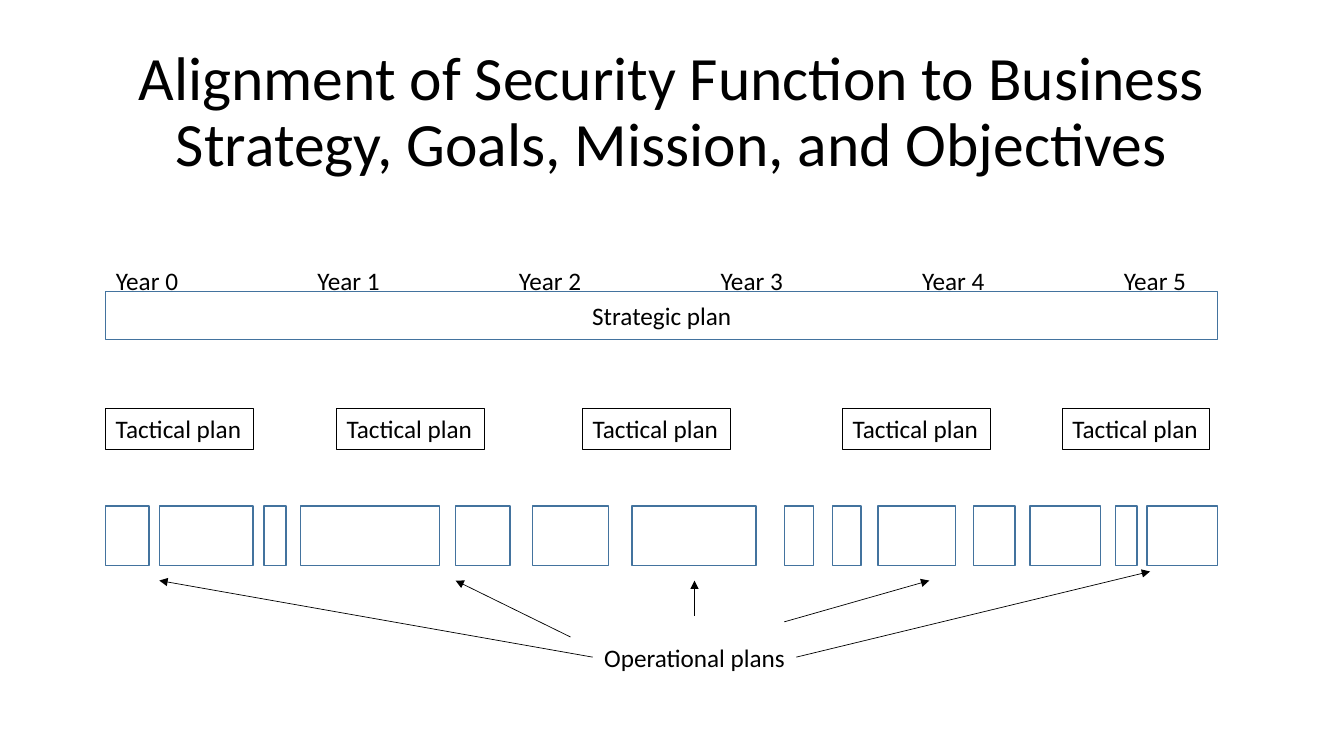
from dataclasses import dataclass

from lxml import etree
from pptx import Presentation
from pptx.dml.color import RGBColor
from pptx.enum import shapes, text
from pptx.oxml.ns import qn
from pptx.util import Pt


@dataclass(frozen=True)
class Theme:
    font: str = "Calibri"
    title_size: float = 44
    body_size: float = 18
    ink: RGBColor = RGBColor(0x00, 0x00, 0x00)
    paper: RGBColor = RGBColor(0xFF, 0xFF, 0xFF)
    outline: RGBColor = RGBColor(0x43, 0x73, 0x9E)


THEME = Theme()
LEFT = 75.6
YEAR_STEP = 144
TACTICAL_LEFTS = (75.6, 240.5, 416.2, 601.9, 758.9)
# left and width of each operational plan
OPERATIONAL_SPANS = (
    (75.6, 31), (113.8, 67), (188.6, 15.8), (214.6, 99.4), (325.4, 38.9),
    (380.2, 54.7), (451.4, 88.6), (560.2, 20.9), (594.7, 20.2),
    (627.1, 55.4), (695.5, 29.5), (735.8, 50.4), (797, 15.1), (819.4, 50.4),
)
# start and tip of each arrow
ARROWS = (
    ((423.4, 469.4), (113.8, 414.7)),
    ((496.1, 439.9), (496.1, 414.7)),
    ((560.2, 444.2), (663.8, 414.7)),
    ((568.8, 469.4), (821.5, 408.2)),
    ((407.5, 455), (325.4, 414.7)),
)


def write_text(shape, words, *, size=THEME.body_size, align=text.PP_ALIGN.LEFT,
               anchor=text.MSO_ANCHOR.TOP, wrap=False, spacing=1.0):
    frame = shape.text_frame
    frame.word_wrap = wrap
    frame.auto_size = text.MSO_AUTO_SIZE.NONE
    frame.vertical_anchor = anchor
    para = frame.paragraphs[0]
    para.alignment = align
    para.line_spacing = spacing
    span = para.add_run()
    span.text = words
    span.font.name = THEME.font
    span.font.size = Pt(size)
    span.font.color.rgb = THEME.ink
    return para


def add_label(page, left, top, width, height, words, **style):
    box = page.shapes.add_textbox(Pt(left), Pt(top), Pt(width), Pt(height))
    return write_text(box, words, **style)


def add_plan(page, left, top, width, height, color=THEME.outline, weight=1):
    box = page.shapes.add_shape(shapes.MSO_SHAPE.RECTANGLE,
                                Pt(left), Pt(top), Pt(width), Pt(height))
    box.shadow.inherit = False
    box.fill.solid()
    box.fill.fore_color.rgb = THEME.paper
    box.line.color.rgb = color
    box.line.width = Pt(weight)
    return box


def add_arrow(page, start, tip):
    arrow = page.shapes.add_connector(shapes.MSO_CONNECTOR.STRAIGHT,
                                      *map(Pt, start + tip))
    arrow.line.color.rgb = THEME.ink
    arrow.line.width = Pt(0.5)
    etree.SubElement(arrow.line._get_or_add_ln(), qn("a:tailEnd"), type="triangle")
    etree.SubElement(arrow._element.spPr, qn("a:effectLst"))


def set_tab_stops(para, step, count):
    stops = etree.SubElement(para._p.get_or_add_pPr(), qn("a:tabLst"))
    for number in range(1, count + 1):
        etree.SubElement(stops, qn("a:tab"), pos=str(Pt(step * number)), algn="l")


def add_title(page, words):
    title = page.shapes.title
    title.left, title.top, title.width, title.height = map(Pt, (66, 28.8, 828, 104.4))
    write_text(title, words, size=THEME.title_size, align=text.PP_ALIGN.CENTER,
               anchor=text.MSO_ANCHOR.MIDDLE, wrap=True, spacing=0.9)


def main():
    deck = Presentation()
    deck.slide_width, deck.slide_height = Pt(960), Pt(540)
    page = deck.slides.add_slide(deck.slide_layouts.get_by_name("Title Only"))
    add_title(page, "Alignment of Security Function to Business Strategy, "
                    "Goals, Mission, and Objectives")

    strategic = add_plan(page, LEFT, 208.4, 794.2, 34.3)
    write_text(strategic, "Strategic plan", align=text.PP_ALIGN.CENTER,
               anchor=text.MSO_ANCHOR.MIDDLE)
    years = "\t\t".join(f"Year {year}" for year in range(6))
    timeline = add_label(page, LEFT, 186, 786.2, 29, years, wrap=True)
    set_tab_stops(timeline, YEAR_STEP / 2, 10)

    for left in TACTICAL_LEFTS:
        tactical = add_plan(page, left, 292, 105.4, 29, THEME.ink, 0.75)
        write_text(tactical, "Tactical plan")
    for left, width in OPERATIONAL_SPANS:
        add_plan(page, left, 361.4, width, 42.5)

    add_label(page, 423.4, 455, 145.4, 29, "Operational plans",
              align=text.PP_ALIGN.CENTER)
    for start, tip in ARROWS:
        add_arrow(page, start, tip)
    deck.save("out.pptx")


if __name__ == "__main__":
    main()
